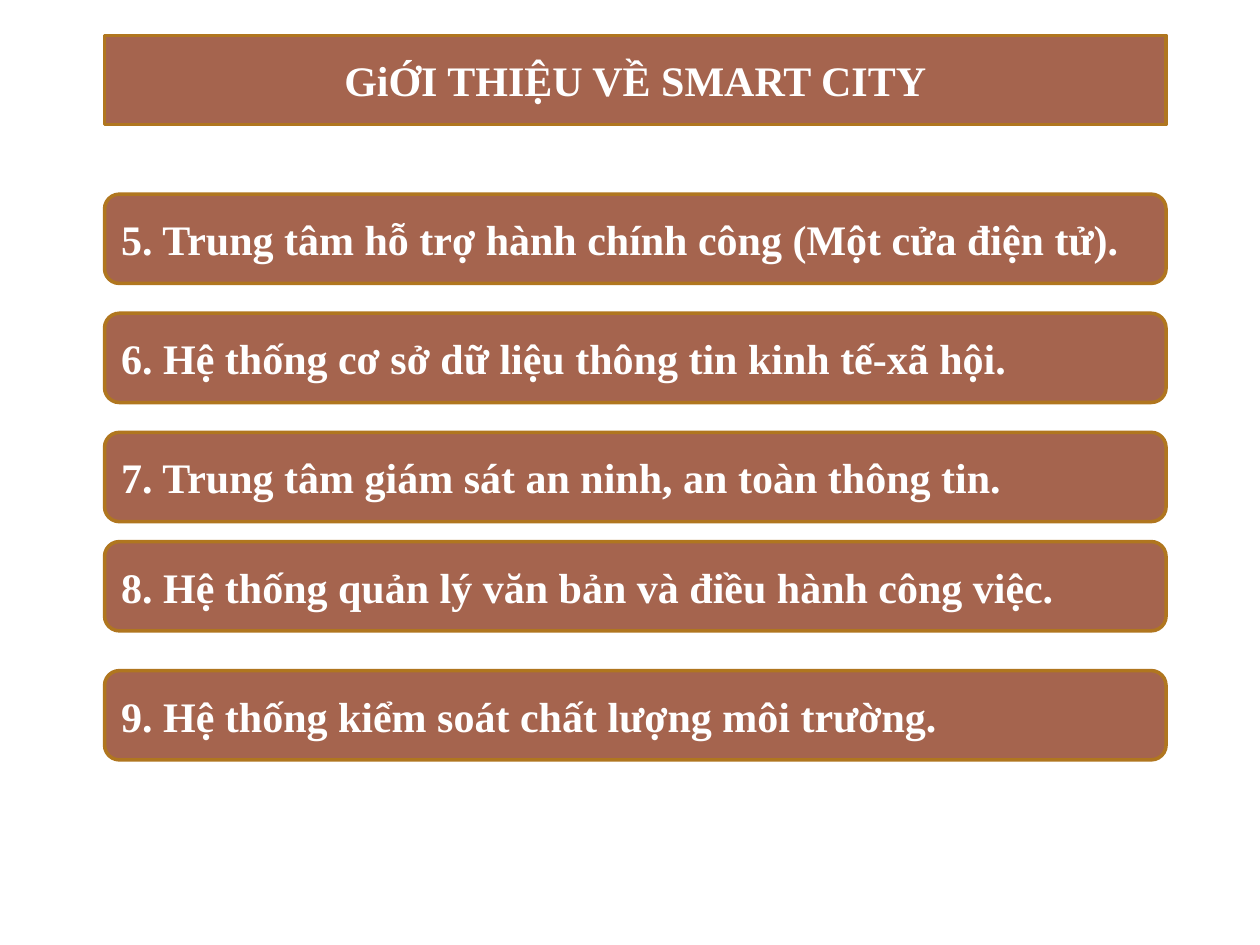
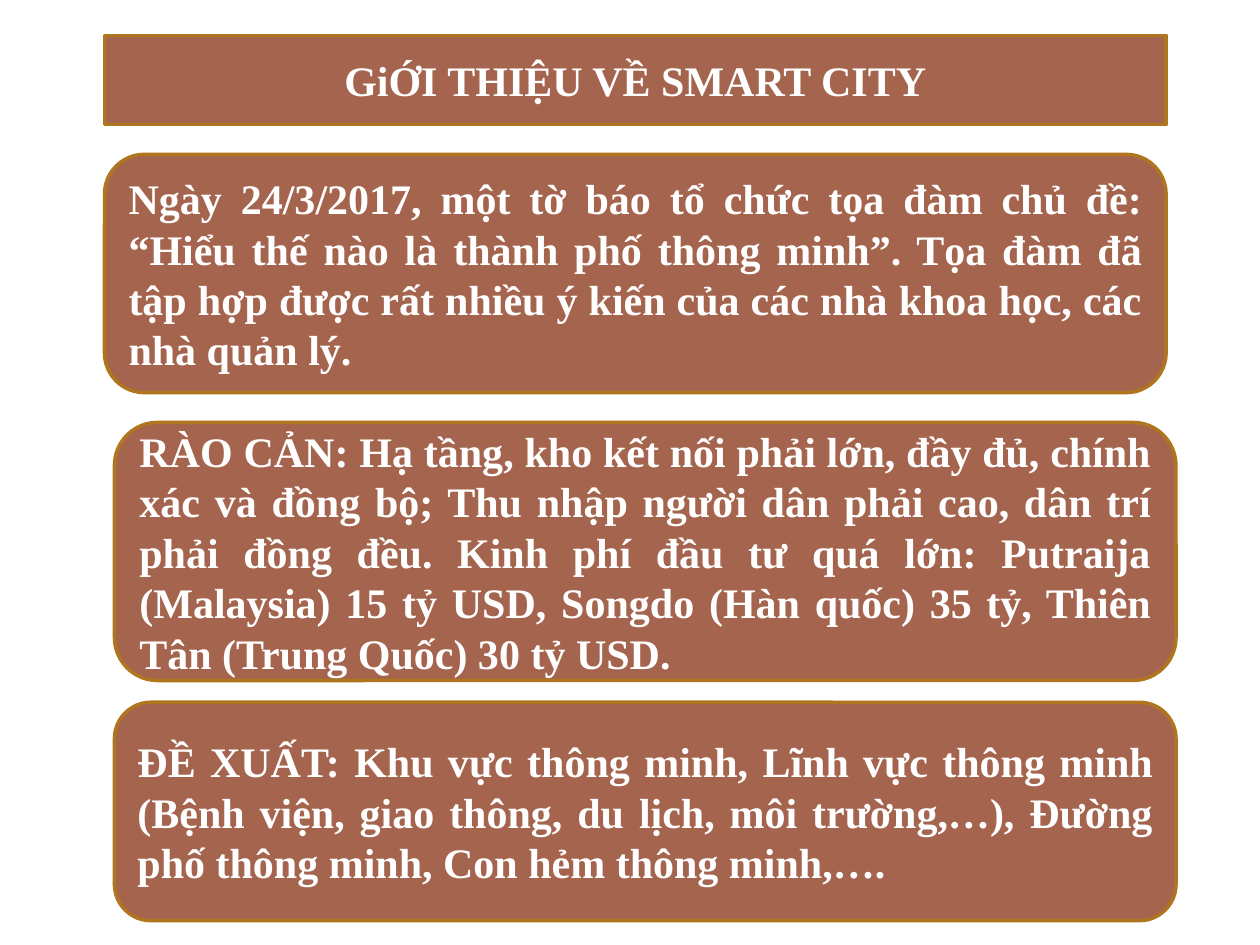
import pptx
import pptx.util
import pptx.dml.color
import pptx.enum.shapes
import pptx.enum.text
import pptx.oxml
import pptx.oxml.ns

BROWN = pptx.dml.color.RGBColor(0xA5, 0x64, 0x4E)
GOLD = pptx.dml.color.RGBColor(0xB0, 0x76, 0x1F)
WHITE = pptx.dml.color.RGBColor(0xFF, 0xFF, 0xFF)

TITLE = "GiỚI THIỆU VỀ SMART CITY"
BAR_ROWS = 9
SYSTEMS = [
    (16, "5. Trung tâm hỗ trợ hành chính công (Một cửa điện tử)."),
    (28, "6. Hệ thống cơ sở dữ liệu thông tin kinh tế-xã hội."),
    (40, "7. Trung tâm giám sát an ninh, an toàn thông tin."),
    (51, "8. Hệ thống quản lý văn bản và điều hành công việc."),
    (64, "9. Hệ thống kiểm soát chất lượng môi trường."),
]
SEMINAR = [
    (0, 12, 24, "Ngày 24/3/2017, một tờ báo tổ chức tọa đàm chủ đề: “Hiểu thế nào là "
     "thành phố thông minh”. Tọa đàm đã tập hợp được rất nhiều ý kiến của các "
     "nhà khoa học, các nhà quản lý."),
    (1, 39, 26, "RÀO CẢN: Hạ tầng, kho kết nối phải lớn, đầy đủ, chính xác và đồng bộ; "
     "Thu nhập người dân phải cao, dân trí phải đồng đều. Kinh phí đầu tư quá lớn: "
     "Putraija (Malaysia) 15 tỷ USD, Songdo (Hàn quốc) 35 tỷ, "
     "Thiên Tân (Trung Quốc) 30 tỷ USD."),
    (1, 67.2, 22, "ĐỀ XUẤT: Khu vực thông minh, Lĩnh vực thông minh (Bệnh viện, giao thông, "
     "du lịch, môi trường,…), Đường phố thông minh, Con hẻm thông minh,…."),
]


class Deck:
    LEFT, TOP = 0.83, 0.28
    COLS, ROWS = 127, 95.2
    WIDE = 107
    FONT, SIZE = "Times New Roman", 24

    def __init__(self):
        self.prs = pptx.Presentation()
        self.prs.slide_width = pptx.util.Inches(10)
        self.prs.slide_height = pptx.util.Inches(7.5)
        self.slide = None

    def frame(self, col, row, rows):
        cell_w = self.prs.slide_width / self.COLS
        cell_h = self.prs.slide_height / self.ROWS
        return (int(pptx.util.Inches(self.LEFT) + col * cell_w),
                int(pptx.util.Inches(self.TOP) + row * cell_h),
                int(self.WIDE * cell_w), int(rows * cell_h))

    def style(self, sp, text, align):
        sp.fill.solid()
        sp.fill.fore_color.rgb = BROWN
        sp.line.color.rgb = GOLD
        sp.line.width = pptx.util.Pt(2)
        tf = sp.text_frame
        tf.text = text
        tf.word_wrap = True
        tf.auto_size = pptx.enum.text.MSO_AUTO_SIZE.NONE
        tf.vertical_anchor = pptx.enum.text.MSO_ANCHOR.MIDDLE
        tf.margin_left = tf.margin_right = pptx.util.Inches(0.1)
        tf.margin_top = tf.margin_bottom = pptx.util.Inches(0.05)
        p = tf.paragraphs[0]
        p.alignment = align
        p.font.name = self.FONT
        p.font.size = pptx.util.Pt(self.SIZE)
        p.font.bold = True
        p.font.color.rgb = WHITE

    def add_slide(self, title):
        self.slide = self.prs.slides.add_slide(self.prs.slide_layouts[5])
        sp = self.slide.shapes.title
        sp.left, sp.top, sp.width, sp.height = self.frame(0, 0, BAR_ROWS)
        sp._element.spPr.append(pptx.oxml.parse_xml(
            f'<a:prstGeom {pptx.oxml.ns.nsdecls("a")} prst="roundRect"><a:avLst/></a:prstGeom>'))
        self.style(sp, title, pptx.enum.text.PP_ALIGN.CENTER)

    def add_panel(self, col, row, rows, text):
        sp = self.slide.shapes.add_shape(
            pptx.enum.shapes.MSO_SHAPE.ROUNDED_RECTANGLE, *self.frame(col, row, rows))
        sp.shadow.inherit = False
        self.style(sp, text, pptx.enum.text.PP_ALIGN.JUSTIFY)


def main():
    deck = Deck()
    deck.add_slide(TITLE)
    for row, text in SYSTEMS:
        deck.add_panel(0, row, BAR_ROWS, text)
    deck.add_slide(TITLE)
    for panel in SEMINAR:
        deck.add_panel(*panel)
    deck.prs.save("out.pptx")


if __name__ == "__main__":
    main()
